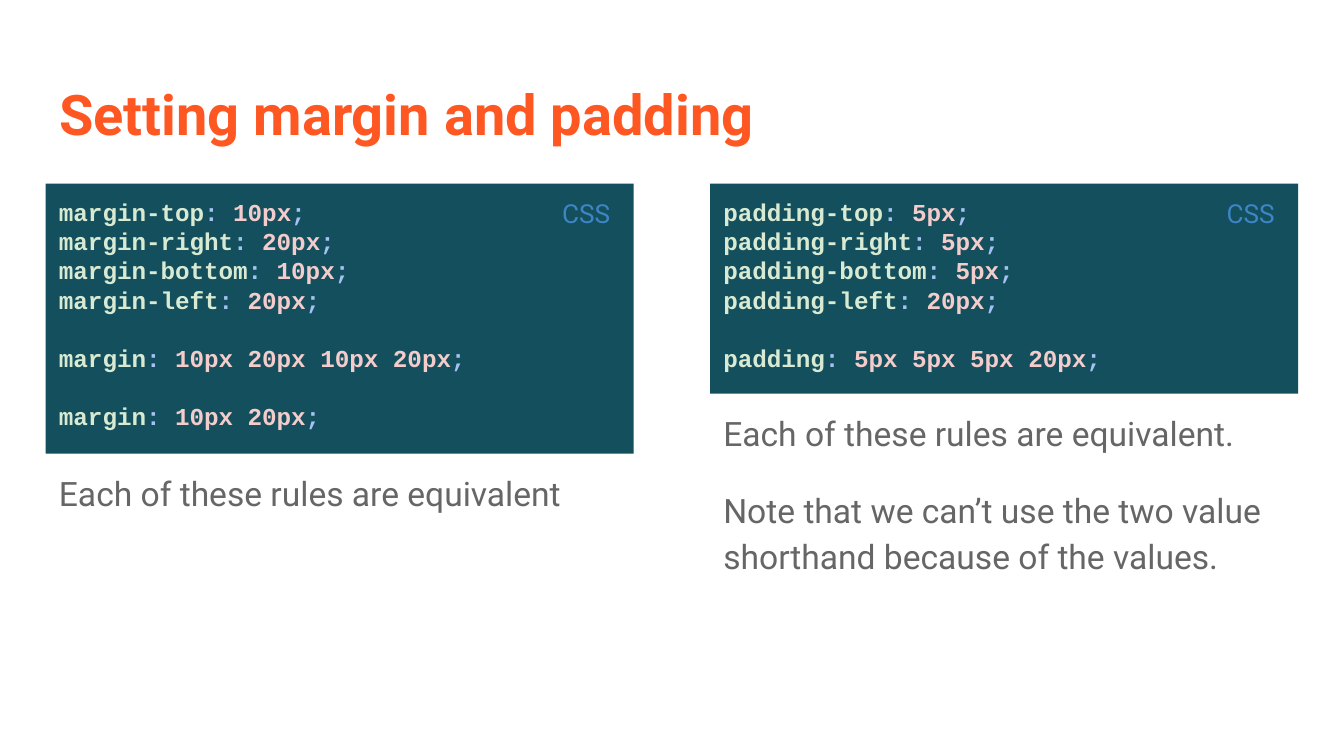
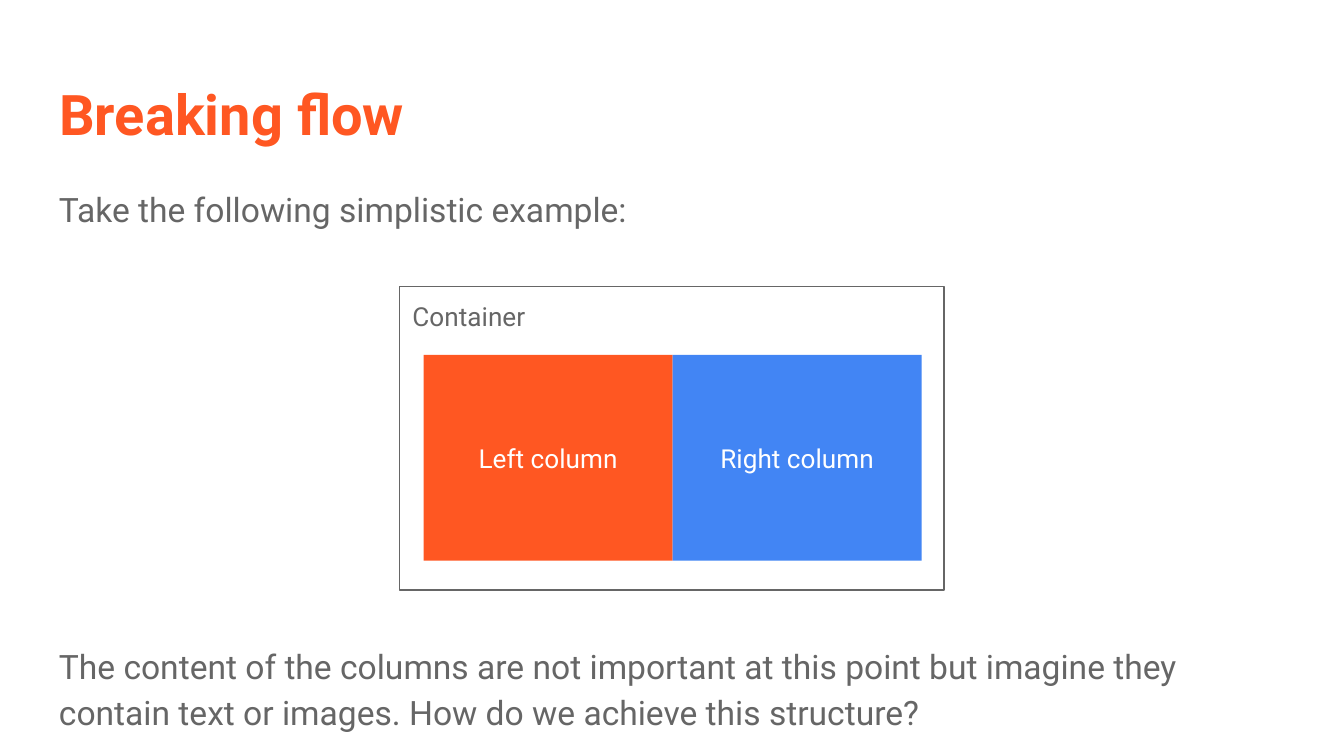
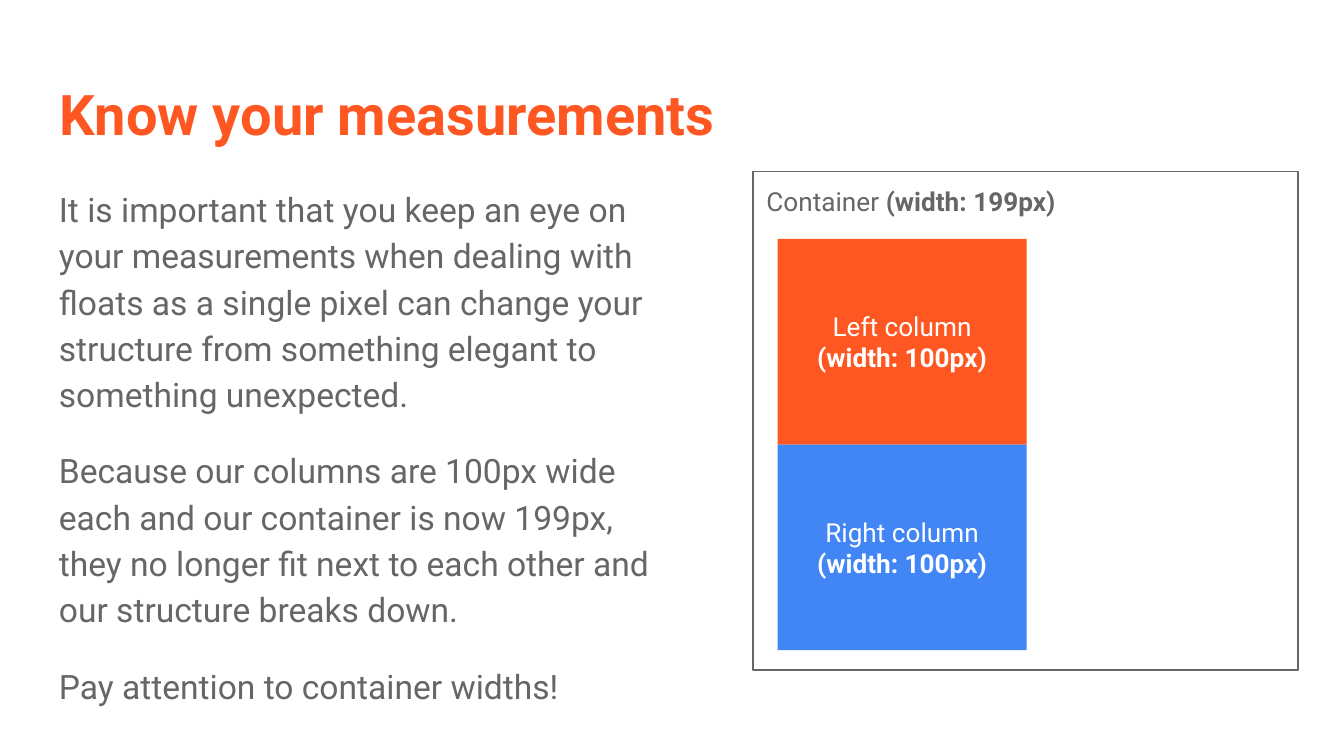
from pptx import Presentation
from pptx.dml.color import RGBColor
from pptx.enum.shapes import MSO_SHAPE
from pptx.enum.text import MSO_ANCHOR, MSO_AUTO_SIZE, PP_ALIGN
from pptx.util import Pt

RECT = MSO_SHAPE.RECTANGLE
TOP, MIDDLE = MSO_ANCHOR.TOP, MSO_ANCHOR.MIDDLE
LEFT, CENTER = PP_ALIGN.LEFT, PP_ALIGN.CENTER
FIXED = MSO_AUTO_SIZE.NONE

HUES = {
    "orange": "FF5722",
    "blue": "4285F4",
    "gray": "666666",
    "white": "FFFFFF",
    "teal": "134F5C",
    "label": "3D85C6",
    "name": "D9EAD3",
    "mark": "A4C2F4",
    "value": "F4CCCC",
}
COLORS = {key: RGBColor.from_string(hue) for key, hue in HUES.items()}
FONT, MONO = "Roboto", "Courier New"
EDGE, PAD, GAP = 24.5, 7.2, 16
PITCH = 15.65
COL_W, COL_H = 133.4, 110.2


def box(slide, x, y, w, h, fill=None, line=None):
    area = [Pt(n) for n in (x, y, w, h)]
    if not fill and not line:
        return slide.shapes.add_textbox(*area)
    shape = slide.shapes.add_shape(RECT, *area)
    shape.shadow.inherit = False
    if fill:
        shape.fill.solid()
        shape.fill.fore_color.rgb = COLORS[fill]
    else:
        shape.fill.background()
    if line:
        shape.line.color.rgb = COLORS[line]
        shape.line.width = Pt(0.75)
    else:
        shape.line.fill.background()
    return shape


def write(shape, lines, size, color, align=LEFT, anchor=TOP, bold=False, font=FONT):
    frame = shape.text_frame
    frame.word_wrap = True
    frame.auto_size = FIXED
    frame.vertical_anchor = anchor
    frame.margin_left = frame.margin_right = Pt(PAD)
    frame.margin_top = frame.margin_bottom = Pt(PAD)
    for num, text in enumerate(lines):
        para = frame.add_paragraph() if num else frame.paragraphs[0]
        para.alignment = align
        para.font.name = font
        para.font.size = Pt(size)
        para.font.bold = bold
        para.font.color.rgb = COLORS[color]
        para.text = text
    return frame.paragraphs


deck = Presentation()
deck.slide_width, deck.slide_height = Pt(720), Pt(405)

pages = []
for text in ("Setting margin and padding", "Breaking flow", "Know your measurements"):
    page = deck.slides.add_slide(deck.slide_layouts[5])
    title = page.shapes.title
    title.left, title.top, title.width, title.height = Pt(EDGE), Pt(35.2), Pt(671), Pt(45.4)
    write(title, [text], 30, "orange", bold=True)
    pages.append(page)
rules, flow, sizes = pages

panels = [
    (EDGE, 144.7,
     ["margin-top: 10px", "margin-right: 20px", "margin-bottom: 10px", "margin-left: 20px",
      "margin: 10px 20px 10px 20px", "margin: 10px 20px"],
     ["Each of these rules are equivalent"]),
    (380.4, 112.6,
     ["padding-top: 5px", "padding-right: 5px", "padding-bottom: 5px", "padding-left: 20px",
      "padding: 5px 5px 5px 20px"],
     ["Each of these rules are equivalent.",
      "Note that we can’t use the two value shorthand because of the values."]),
]
notes = []
for x, high, code, words in panels:
    panel = box(rules, x, 98.4, 315, high, "teal")
    paras = write(panel, [""] * len(code), 13, "name", bold=True, font=MONO)
    for num, (para, rule) in enumerate(zip(paras, code)):
        para.line_spacing = Pt(PITCH)
        if num > 3:
            para.space_before = Pt(PITCH)
        name, value = rule.split(": ")
        for text, hue in ((name, "name"), (": ", "mark"), (value, "value"), (";", "mark")):
            run = para.add_run()
            run.text = text
            run.font.color.rgb = COLORS[hue]
    write(box(rules, x + 269.6, 98.4, 45.4, 31.7), ["CSS"], 14, "label")
    notes.append((rules, x, 98.4 + high, 315, 100.8, words, GAP))

notes.append((flow, EDGE, 90.7, 671, 269.3, [
    "Take the following simplistic example:",
    "The content of the columns are not important at this point but imagine they "
    "contain text or images. How do we achieve this structure?"], 220))
notes.append((sizes, EDGE, 90.7, 340.6, 269.3, [
    "It is important that you keep an eye on your measurements when dealing with floats "
    "as a single pixel can change your structure from something elegant to something unexpected.",
    "Because our columns are 100px wide each and our container is now 199px, they no longer "
    "fit next to each other and our structure breaks down.",
    "Pay attention to container widths!"], GAP))
for page, x, y, w, h, words, gap in notes:
    for num, para in enumerate(write(box(page, x, y, w, h), words, 18, "gray")):
        para.line_spacing = 1.15
        para.space_before = Pt(gap if num else 0)

frames = [
    (flow, 213.9, 153.6, 162.5, None, 227, 190.2, COL_W, 0, "", []),
    (sizes, 403.5, 92, 266.9, "white", 416.6, 128, 0, COL_H, "(width: 199px)", ["(width: 100px)"]),
]
for page, x, y, high, fill, left, top, right, down, width, extra in frames:
    frame = box(page, x, y, 291.9, high, fill, "gray")
    para = write(frame, ["Container"], 14, "gray")[0]
    if width:
        para.runs[0].text = "Container "
        run = para.add_run()
        run.text = width
        run.font.bold = True
    for num, (name, hue) in enumerate((("Left column", "orange"), ("Right column", "blue"))):
        col = box(page, left + num * right, top + num * down, COL_W, COL_H, hue)
        for para in write(col, [name] + extra, 14, "white", CENTER, MIDDLE)[1:]:
            para.font.bold = True

deck.save("out.pptx")
